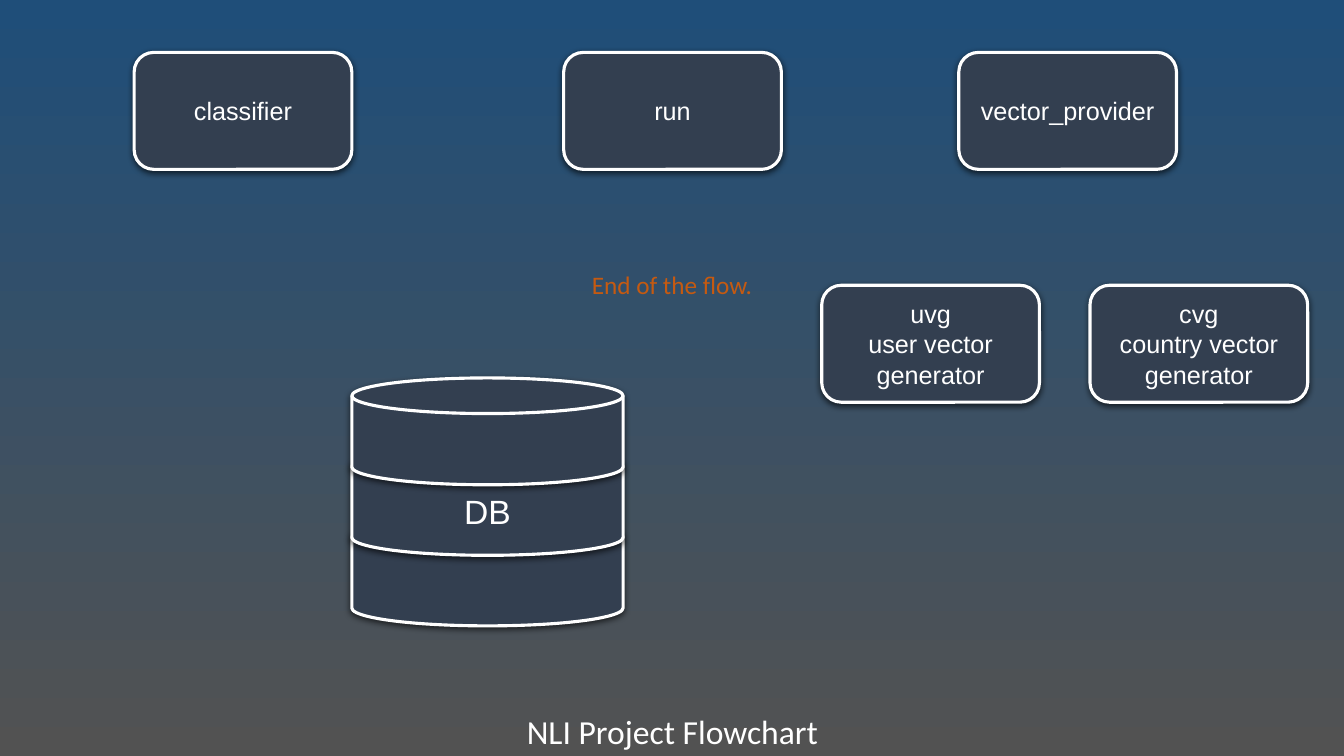
from lxml import etree
from pptx import Presentation, util as u
from pptx.dml.color import RGBColor
from pptx.enum import shapes, text
from pptx.oxml import ns

WIDTH, HEIGHT = u.Inches(13.33), u.Inches(7.5)
SKY = RGBColor(0x1F, 0x4E, 0x79)
ASH = RGBColor(0x52, 0x52, 0x52)
NAVY = RGBColor(0x33, 0x3F, 0x50)
WHITE = RGBColor(0xFF, 0xFF, 0xFF)
ORANGE = RGBColor(0xC5, 0x5A, 0x11)

MODULE_WIDTH, MODULE_HEIGHT = 16.2, 15.47
TOP_ROW, GENERATOR_ROW = 6.93, 37.73
MODULES = [
    (41.94, TOP_ROW, ["run"]),
    (71.34, TOP_ROW, ["vector_provider"]),
    (81.1, GENERATOR_ROW, ["cvg", "country vector generator"]),
    (61.14, GENERATOR_ROW, ["uvg", "user vector generator"]),
    (9.98, TOP_ROW, ["classifier"]),
]
DISK_LEFT, DISK_TOP, DISK_WIDTH, DISK_HEIGHT = 26.18, 50, 20.18, 14.13
DISK_STEP = 9.33


def area(left, top, width, height):
    return [int(side * share / 100) for side, share in
            zip((WIDTH, HEIGHT, WIDTH, HEIGHT), (left, top, width, height))]


def paint_background(slide):
    fill = slide.background.fill
    fill.gradient()
    fill.gradient_angle = 270
    for stop, color, position in zip(fill.gradient_stops, (SKY, ASH), (0, 1)):
        stop.color.rgb = color
        stop.position = position


def write(frame, lines, size, font, color):
    frame.word_wrap = True
    paragraph = frame.paragraphs[0]
    paragraph.alignment = text.PP_ALIGN.CENTER
    for index, line in enumerate(lines):
        if index:
            paragraph.add_line_break()
        run = paragraph.add_run()
        run.text = line
        run.font.size = u.Pt(size)
        run.font.name = font
        run.font.color.rgb = color


def cast_shadow(shape):
    shape.shadow.inherit = False
    effects = shape.element.spPr.find(ns.qn("a:effectLst"))
    shadow = etree.SubElement(effects, ns.qn("a:outerShdw"), blurRad=str(u.Pt(4.5)),
                              dist=str(u.Pt(1.5)), dir="5400000", algn="ctr", rotWithShape="0")
    black = etree.SubElement(shadow, ns.qn("a:srgbClr"), val="000000")
    etree.SubElement(black, ns.qn("a:alpha"), val="63000")


def add_block(parent, preset, place, lines, size):
    block = parent.add_shape(preset, *area(*place))
    block.fill.solid()
    block.fill.fore_color.rgb = NAVY
    block.line.color.rgb = WHITE
    block.line.width = u.Pt(2.25)
    cast_shadow(block)
    block.text_frame.vertical_anchor = text.MSO_ANCHOR.MIDDLE
    write(block.text_frame, lines, size, "Arial", WHITE)


def add_caption(slide, place, words, size, color):
    frame = slide.shapes.add_textbox(*area(*place)).text_frame
    write(frame, [words], size, "Calibri", color)
    frame.auto_size = text.MSO_AUTO_SIZE.SHAPE_TO_FIT_TEXT


def add_database(slide):
    database = slide.shapes.add_group_shape()
    for level, lines in ((2, []), (1, ["DB"]), (0, [])):
        place = (DISK_LEFT, DISK_TOP + level * DISK_STEP, DISK_WIDTH, DISK_HEIGHT)
        add_block(database.shapes, shapes.MSO_SHAPE.FLOWCHART_MAGNETIC_DISK, place, lines, 24)


def main():
    deck = Presentation()
    deck.slide_width, deck.slide_height = WIDTH, HEIGHT
    slide = deck.slides.add_slide(deck.slide_layouts[6])
    paint_background(slide)
    add_caption(slide, (37.58, 93.33, 24.9, 6.67), "NLI Project Flowchart", 24, WHITE)
    for left, top, lines in MODULES:
        place = (left, top, MODULE_WIDTH, MODULE_HEIGHT)
        add_block(slide.shapes, shapes.MSO_SHAPE.ROUNDED_RECTANGLE, place, lines, 18)
    add_database(slide)
    add_caption(slide, (42.39, 34.93, 15.23, 5.33), "End of the flow.", 18, ORANGE)
    deck.save("out.pptx")


if __name__ == "__main__":
    main()
